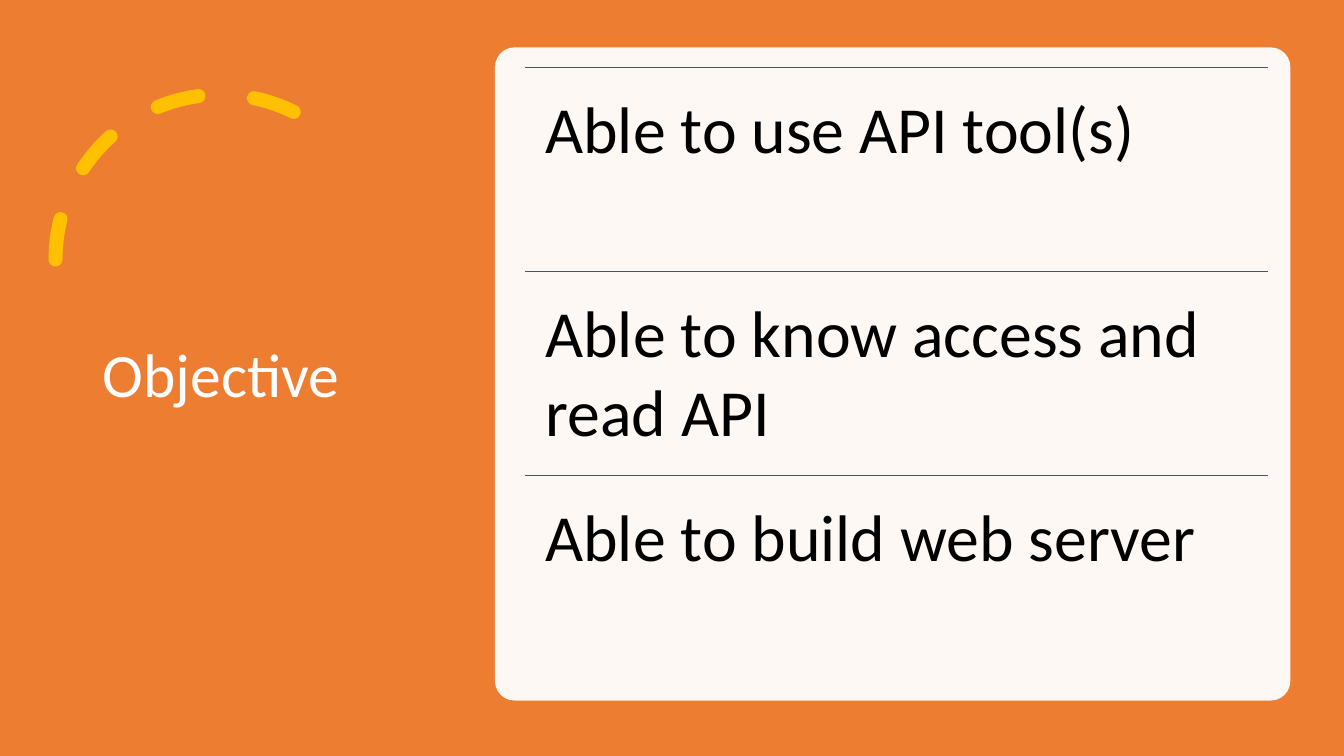
from dataclasses import dataclass

from lxml import etree
from pptx import Presentation
from pptx.dml.color import RGBColor
from pptx.enum.dml import MSO_LINE
from pptx.enum.shapes import MSO_CONNECTOR, MSO_SHAPE
from pptx.enum.text import MSO_ANCHOR, MSO_AUTO_SIZE, PP_ALIGN
from pptx.oxml.ns import qn
from pptx.shapes.autoshape import Shape
from pptx.shapes.group import GroupShape
from pptx.slide import Slide
from pptx.text.text import TextFrame
from pptx.util import Inches, Pt

RECT, ARC, ROUND = MSO_SHAPE.RECTANGLE, MSO_SHAPE.ARC, MSO_SHAPE.ROUNDED_RECTANGLE
STRAIGHT = MSO_CONNECTOR.STRAIGHT
DASH = MSO_LINE.DASH
TOP, MIDDLE = MSO_ANCHOR.TOP, MSO_ANCHOR.MIDDLE
LEFT = PP_ALIGN.LEFT
FIXED = MSO_AUTO_SIZE.NONE

WIDTH, HEIGHT = Inches(13.333), Inches(7.5)
FONT = "Calibri"
ORANGE, GOLD, SLATE = "ED7D31", "FFC000", "44546A"
WHITE, BLACK = "FFFFFF", "000000"
TITLE_ONLY = 5


@dataclass(frozen=True)
class Box:
    """A place in percent of the slide's width (x, w) and height (y, h)."""
    x: float
    y: float
    w: float
    h: float

    def area(self) -> tuple[int, int, int, int]:
        return (int(WIDTH * self.x / 100), int(HEIGHT * self.y / 100),
                int(WIDTH * self.w / 100), int(HEIGHT * self.h / 100))


@dataclass(frozen=True)
class Goal:
    text: str
    box: Box


PAGE = Box(0, 0, 100, 100)
SWIRL = Box(4.13, 12.53, 24.53, 43.6)
TITLE = Box(6.9, 9.33, 24.23, 81.2)
PANEL = Box(36.83, 6.27, 59.18, 86.4)
FIRST = Box(39.08, 8.93, 55.28, 27)
TEXTS = ["Able to use API tool(s)", "Able to know access and read API",
         "Able to build web server"]
GOALS = [Goal(text, Box(FIRST.x, FIRST.y + row * FIRST.h, FIRST.w, FIRST.h))
         for row, text in enumerate(TEXTS)]


def color(code: str) -> RGBColor:
    return RGBColor.from_string(code)


def add_block(slide: Slide, kind: MSO_SHAPE, box: Box, fill: str) -> Shape:
    block = slide.shapes.add_shape(kind, *box.area())
    block.shadow.inherit = False
    block.fill.solid()
    block.fill.fore_color.rgb = color(fill)
    block.line.fill.background()
    return block


def add_swirl(slide: Slide) -> None:
    swirl = slide.shapes.add_shape(ARC, *SWIRL.area())
    swirl.shadow.inherit = False
    swirl.fill.background()
    swirl.adjustments[0] = 146.13
    swirl.adjustments[1] = 0
    swirl.line.color.rgb = color(GOLD)
    swirl.line.width = Pt(10)
    swirl.line.dash_style = DASH
    props = swirl._element.spPr
    props.find(qn("a:xfrm")).set("flipH", "1")
    props.find(qn("a:ln")).set("cap", "rnd")


def write(frame: TextFrame, text: str, size: int, fill: str, anchor: MSO_ANCHOR) -> None:
    frame.text = text
    frame.word_wrap = True
    frame.auto_size = FIXED
    frame.vertical_anchor = anchor
    line = frame.paragraphs[0]
    line.alignment = LEFT
    line.font.name = FONT
    line.font.size = Pt(size)
    line.font.color.rgb = color(fill)


def set_title(slide: Slide) -> None:
    """Fill the title and lift it above the shapes drawn so far."""
    title = slide.shapes.title
    title.left, title.top, title.width, title.height = TITLE.area()
    write(title.text_frame, "Objective", 44, WHITE, MIDDLE)
    title.text_frame.paragraphs[0].line_spacing = 0.9
    slide.shapes._spTree.append(title._element)


def add_panel(slide: Slide) -> None:
    panel = add_block(slide, ROUND, PANEL, WHITE)
    panel.adjustments[0] = 0.03
    tint = panel._element.spPr.find(qn("a:solidFill"))[0]
    etree.SubElement(tint, qn("a:alpha")).set("val", "95000")


def add_goal(group: GroupShape, goal: Goal) -> None:
    x, y, w, h = goal.box.area()
    rule = group.shapes.add_connector(STRAIGHT, x, y, x + w, y)
    rule.line.color.rgb = color(SLATE)
    rule.line.width = Pt(1)
    etree.SubElement(rule._element.spPr, qn("a:effectLst"))
    frame = group.shapes.add_textbox(x, y, w, h).text_frame
    pad = Inches(0.2)
    frame.margin_left = frame.margin_right = pad
    frame.margin_top = frame.margin_bottom = pad
    write(frame, goal.text, 47, BLACK, TOP)


def main() -> None:
    deck = Presentation()
    deck.slide_width, deck.slide_height = WIDTH, HEIGHT
    slide = deck.slides.add_slide(deck.slide_layouts[TITLE_ONLY])
    add_block(slide, RECT, PAGE, ORANGE)
    add_swirl(slide)
    set_title(slide)
    add_panel(slide)
    group = slide.shapes.add_group_shape()
    for goal in GOALS:
        add_goal(group, goal)
    deck.save("out.pptx")


if __name__ == "__main__":
    main()
